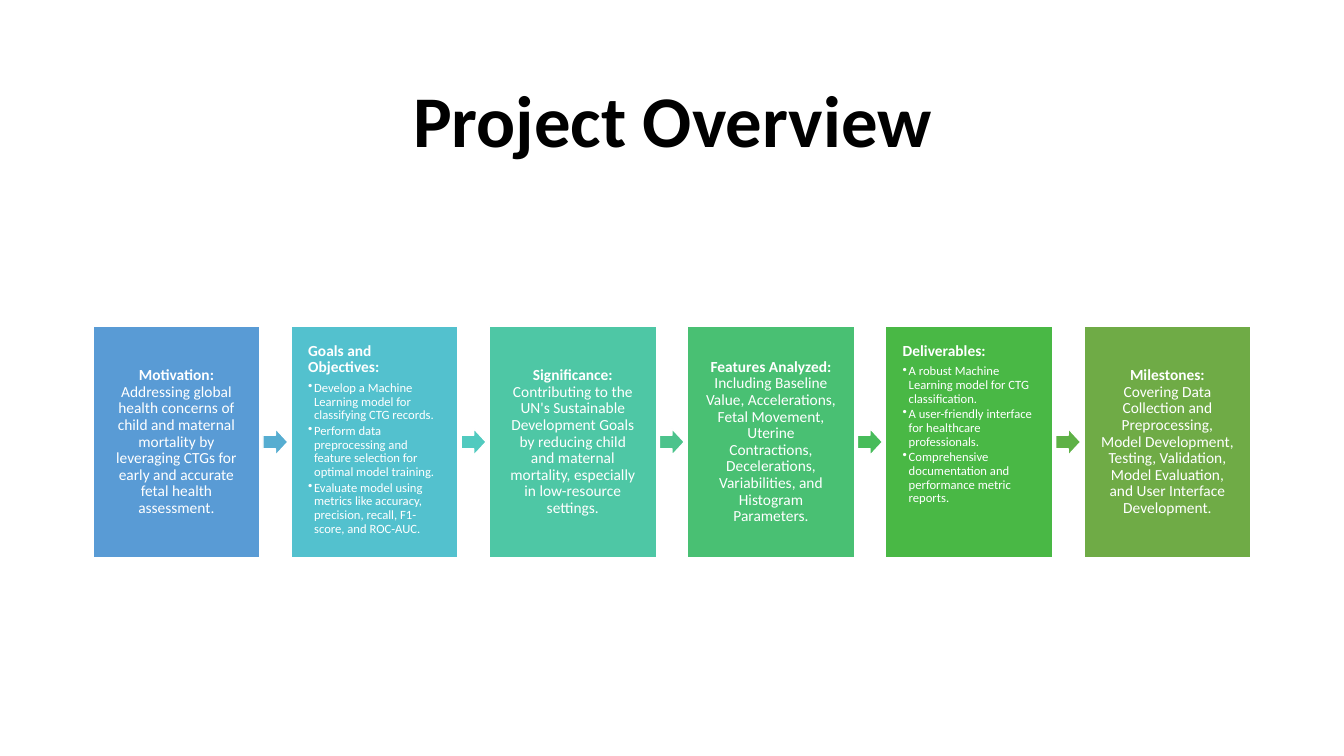
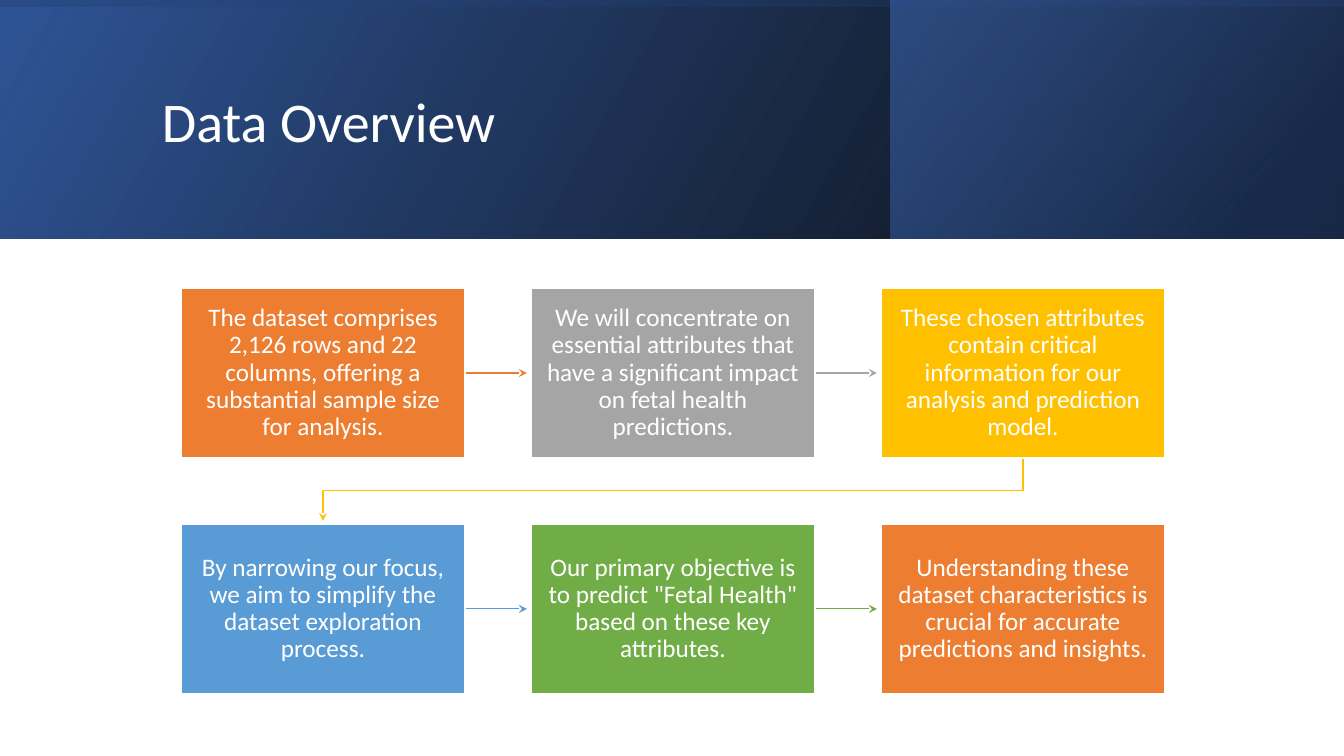
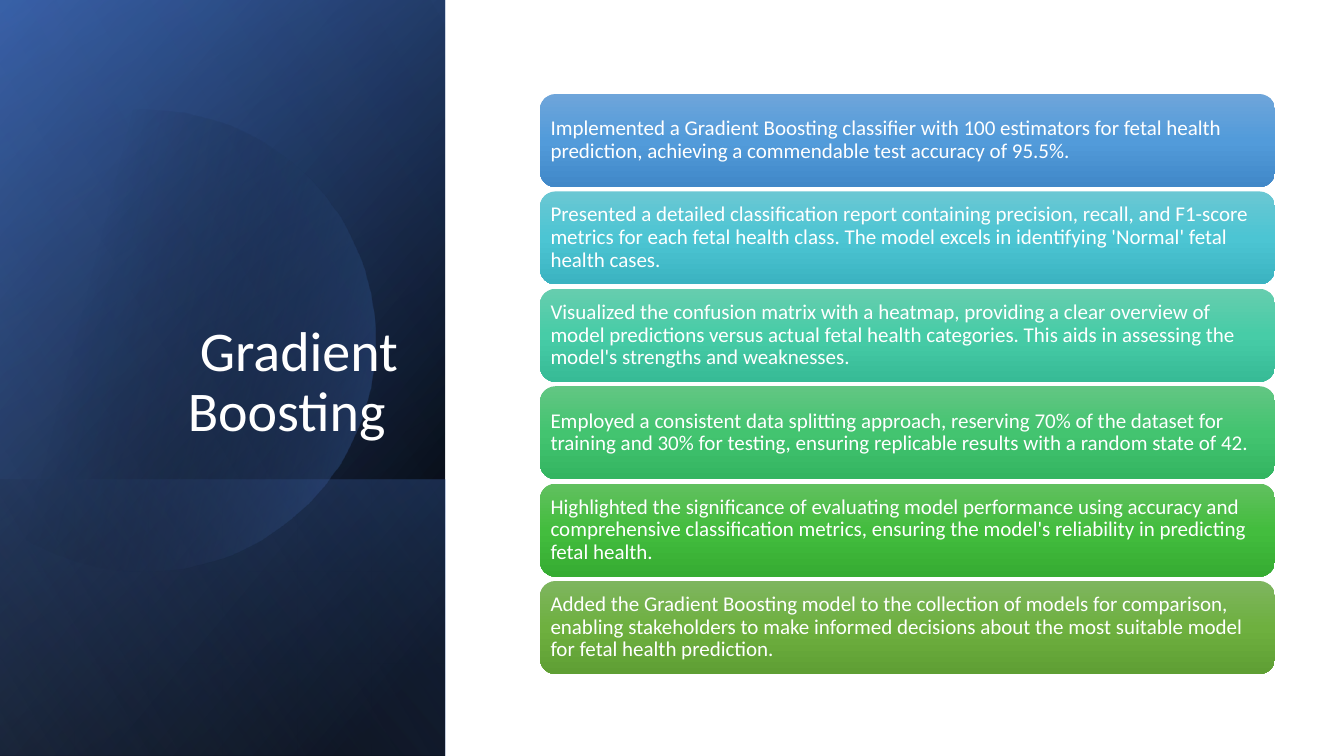
from math import acos, cos, sin
from pptx import Presentation
from pptx.dml.color import RGBColor
from pptx.enum.shapes import MSO_CONNECTOR, MSO_SHAPE
from pptx.enum.text import MSO_ANCHOR, PP_ALIGN
from pptx.oxml import parse_xml
from pptx.oxml.ns import nsdecls, qn
from pptx.util import Pt

UNIT = 914400 / 100.8
WIDE, HIGH = 1344, 756
HUES = dict(
    white="FFFFFF", black="000000", navy="2F5496", deep="1F3864", royal="4472C4",
    pale="8DA9DB", orange="ED7D31", gray="A5A5A5", gold="FFC000", blue="599BD5",
    green="70AD47",
)
STEPS = ["599BD5", "53C1CE", "4EC7A5", "49C073", "49B845", "6FAB46"]
HEADS = ["56ADD1", "51CABF", "4CC38C", "47BC5A", "5EB146"]
SHADES = [
    ("6EA5DA", "529BDA", "4188C8"), ("6AC7D3", "4CC5D3", "3BB3C1"),
    ("66CDAE", "47CCA7", "37BB96"), ("62C683", "43C470", "33B561"),
    ("61C05F", "43BD3E", "36AC32"), ("7EB55F", "6EB03F", "5F9F34"),
]
GOALS = [
    ("Motivation: ", "Addressing global health concerns of child and maternal mortality by "
     "leveraging CTGs for early and accurate fetal health assessment."),
    ("Goals and Objectives:", [
        "Develop a Machine Learning model for classifying CTG records.",
        "Perform data preprocessing and feature selection for optimal model training.",
        "Evaluate model using metrics like accuracy, precision, recall, F1-score, and ROC-AUC.",
    ]),
    ("Significance: ", "Contributing to the UN's Sustainable Development Goals by reducing "
     "child and maternal mortality, especially in low-resource settings."),
    ("Features Analyzed: ", "Including Baseline Value, Accelerations, Fetal Movement, Uterine "
     "Contractions, Decelerations, Variabilities, and Histogram Parameters."),
    ("Deliverables:", [
        "A robust Machine Learning model for CTG classification.",
        "A user-friendly interface for healthcare professionals.",
        "Comprehensive documentation and performance metric reports.",
    ]),
    ("Milestones: ", "Covering Data Collection and Preprocessing, Model Development, Testing, "
     "Validation, Model Evaluation, and User Interface Development."),
]
FACTS = [
    ("orange", "The dataset comprises 2,126 rows and 22 columns, offering a substantial "
     "sample size for analysis."),
    ("gray", "We will concentrate on essential attributes that have a significant impact on "
     "fetal health predictions."),
    ("gold", "These chosen attributes contain critical information for our analysis and "
     "prediction model."),
    ("blue", "By narrowing our focus, we aim to simplify the dataset exploration process."),
    ("green", "Our primary objective is to predict \"Fetal Health\" based on these key "
     "attributes."),
    ("orange", "Understanding these dataset characteristics is crucial for accurate "
     "predictions and insights."),
]
NOTES = [
    "Implemented a Gradient Boosting classifier with 100 estimators for fetal health "
    "prediction, achieving a commendable test accuracy of 95.5%.",
    "Presented a detailed classification report containing precision, recall, and F1-score "
    "metrics for each fetal health class. The model excels in identifying 'Normal' fetal "
    "health cases.",
    "Visualized the confusion matrix with a heatmap, providing a clear overview of model "
    "predictions versus actual fetal health categories. This aids in assessing the model's "
    "strengths and weaknesses.",
    "Employed a consistent data splitting approach, reserving 70% of the dataset for training "
    "and 30% for testing, ensuring replicable results with a random state of 42.",
    "Highlighted the significance of evaluating model performance using accuracy and "
    "comprehensive classification metrics, ensuring the model's reliability in predicting "
    "fetal health.",
    "Added the Gradient Boosting model to the collection of models for comparison, enabling "
    "stakeholders to make informed decisions about the most suitable model for fetal health "
    "prediction.",
]


def px(*nums):
    return [round(n * UNIT) for n in nums]


def style(part, **vals):
    for name, val in vals.items():
        setattr(part, name, val)


def tint(hue):
    return RGBColor.from_string(HUES.get(hue, hue))


def frame(shape, side, edge, anchor):
    text = shape.text_frame
    left, top = px(side, edge)
    style(text, word_wrap=True, margin_left=left, margin_right=left,
          margin_top=top, margin_bottom=top, vertical_anchor=anchor)
    return text


def write(para, runs, size, hue="white", align=PP_ALIGN.LEFT, before=0):
    style(para, alignment=align, line_spacing=0.9, space_before=Pt(before))
    for words, bold in runs:
        run = para.add_run()
        run.text = words
        style(run.font, name="Calibri", size=Pt(size), bold=bold)
        run.font.color.rgb = tint(hue)


def title(slide, box, words, size=40, hue="white", bold=False,
          align=PP_ALIGN.LEFT, anchor=MSO_ANCHOR.MIDDLE):
    text = frame(slide.shapes.add_textbox(*px(*box)), 10, 5, anchor)
    write(text.paragraphs[0], [(words, bold)], size, hue, align)


def block(slide, kind, box, hue=None):
    shape = slide.shapes.add_shape(kind, *px(*box))
    shape.shadow.inherit = False
    if hue:
        shape.fill.solid()
        shape.fill.fore_color.rgb = tint(hue)
        shape.line.color.rgb = tint("white")
        shape.line.width = Pt(1)
    else:
        shape.line.fill.background()
    return shape


def blend(shape, stops, angle):
    marks = "".join(
        f'<a:gs pos="{pos * 1000}"><a:srgbClr val="{HUES.get(hue, hue)}">'
        f'<a:alpha val="{alpha * 1000}"/></a:srgbClr></a:gs>'
        for pos, hue, alpha in stops)
    shape.fill.background()
    props = shape._element.spPr
    props.replace(props.find(qn("a:noFill")), parse_xml(
        f'<a:gradFill {nsdecls("a")} rotWithShape="1"><a:gsLst>{marks}</a:gsLst>'
        f'<a:lin ang="{angle * 60000}" scaled="0"/></a:gradFill>'))


def panel(slide, box, stops, angle, turn=0):
    left, top, wide, high = box
    if turn:
        left, top = left + (wide - high) / 2, top + (high - wide) / 2
        wide, high = high, wide
    shape = block(slide, MSO_SHAPE.RECTANGLE, (left, top, wide, high))
    shape.rotation = turn
    shape._element.spPr.find(qn("a:xfrm")).set("flipH", "1")
    blend(shape, stops, angle)


def trace(slide, points, close):
    draw = slide.shapes.build_freeform(*points[0], scale=UNIT)
    draw.add_line_segments(points[1:], close=close)
    shape = draw.convert_to_shape()
    shape.shadow.inherit = False
    return shape


def disc(slide, box):
    left, top, wide, high = box
    rad = high / 2
    span = acos(1 - wide / rad)
    mid = left + wide - rad
    arc = [span * (k / 45 - 1) for k in range(91)]
    shape = trace(slide, [(mid + rad * cos(a), top + rad + rad * sin(a)) for a in arc], True)
    shape.line.fill.background()
    blend(shape, [(0, "black", 0), (29, "black", 0), (100, "royal", 43)], 14)


def link(slide, points, hue):
    if len(points) == 2:
        shape = slide.shapes.add_connector(MSO_CONNECTOR.STRAIGHT, *px(*points[0], *points[1]))
        shape._element.spPr.append(parse_xml(f'<a:effectLst {nsdecls("a")}/>'))
    else:
        shape = trace(slide, points, False)
        shape.fill.background()
    shape.line.color.rgb = tint(hue)
    shape.line.width = Pt(0.75)
    shape.line._get_or_add_ln().append(
        parse_xml(f'<a:tailEnd {nsdecls("a")} type="stealth"/>'))


def bullet(para):
    props = para._p.get_or_add_pPr()
    gap = px(6)[0]
    for name, val in dict(marL=gap, indent=-gap, lvl=1).items():
        props.set(name, str(val))
    for tag in (f'<a:buClr {nsdecls("a")}><a:srgbClr val="{HUES["white"]}"/></a:buClr>',
                f'<a:buChar {nsdecls("a")} char="•"/>'):
        props.append(parse_xml(tag))


def card(slide, box, hue, head, body):
    shape = block(slide, MSO_SHAPE.RECTANGLE, box, hue)
    listed = isinstance(body, list)
    text = frame(shape, 17, 17, MSO_ANCHOR.TOP if listed else MSO_ANCHOR.MIDDLE)
    first = text.paragraphs[0]
    if not listed:
        write(first, [(head, True), (body, False)], 11, align=PP_ALIGN.CENTER)
        return
    write(first, [(head, True)], 11)
    for k, item in enumerate(body):
        para = text.add_paragraph()
        write(para, [(item, False)], 9, before=1.4 if k else 3.9)
        bullet(para)


def chain(slide, box):
    left, top, wide, high = box
    size = 167
    step = (wide - size) / (len(GOALS) - 1)
    for k, (head, body) in enumerate(GOALS):
        x = left + k * step
        card(slide, (x, top, size, high), STEPS[k], head, body)
        if k < len(HEADS):
            block(slide, MSO_SHAPE.RIGHT_ARROW,
                  (x + 170, top + (high - 27) / 2, 25, 27), HEADS[k])


def banner(slide, box):
    left, top, wide, high = box
    panel(slide, box, [(0, "black", 96), (100, "navy", 100)], 330)
    panel(slide, (left + 891, top, 452, high),
          [(0, "deep", 68), (19, "deep", 68), (100, "royal", 48)], 320)
    panel(slide, box, [(0, "navy", 16), (23, "navy", 16), (99, "black", 45),
                       (100, "black", 45)], 350, 270)


def flow(slide, box):
    left, top, wide, high = box
    size, tall = 284, 170
    over, down = (wide - size) / 2, high - tall
    for k, (hue, words) in enumerate(FACTS):
        row, col = divmod(k, 3)
        x, y = left + col * over, top + row * down
        mid = y + tall / 2
        if col < 2:
            link(slide, [(x + size, mid), (x + size + 62, mid)], hue)
        elif row == 0:
            end, start, low = x + size / 2, left + size / 2, y + tall
            link(slide, [(end, low), (end, low + 33), (start, low + 33),
                         (start, low + 63)], hue)
        shape = block(slide, MSO_SHAPE.RECTANGLE, (x, y, size, tall), hue)
        text = frame(shape, 14, 15, MSO_ANCHOR.MIDDLE)
        write(text.paragraphs[0], [(words, False)], 18, align=PP_ALIGN.CENTER)


def sidebar(slide, box):
    left, top, wide, high = box
    panel(slide, box, [(0, "black", 100), (8, "black", 100), (100, "navy", 100)], 50, 90)
    panel(slide, box, [(0, "black", 0), (99, "royal", 46), (100, "royal", 46)], 30, 90)
    panel(slide, (left, top + 480, wide, high - 480),
          [(0, "royal", 29), (2, "royal", 29), (100, "black", 30)], 130, 90)
    disc(slide, (left - 15, top + 110, 390, 462))
    panel(slide, box, [(0, "black", 0), (99, "pale", 11), (100, "pale", 11)], 120, 90)


def stack(slide, box):
    left, top, wide, high = box
    tall = 93
    step = (high - tall) / (len(NOTES) - 1)
    for k, (words, shade) in enumerate(zip(NOTES, SHADES)):
        shape = block(slide, MSO_SHAPE.ROUNDED_RECTANGLE, (left, top + k * step, wide, tall))
        blend(shape, [(50 * n, hue, 100) for n, hue in enumerate(shade)], 90)
        text = frame(shape, 6, 6, MSO_ANCHOR.MIDDLE)
        write(text.paragraphs[0], [(words, False)], 15)


deck = Presentation()
wide, high = px(WIDE, HIGH)
style(deck, slide_width=wide, slide_height=high)
goals, facts, notes = [deck.slides.add_slide(deck.slide_layouts[6]) for _ in range(3)]

title(goals, (93, 61, 1159, 125), "Project Overview", 52, "black", True, PP_ALIGN.CENTER)
chain(goals, (93, 326, 1158, 232))

banner(facts, (0, 0, WIDE, 239))
title(facts, (152, 38, 1072, 173), "Data Overview")
flow(facts, (181, 288, 984, 406))

sidebar(notes, (0, 0, 445, HIGH))
title(notes, (64, 185, 344, 264), "Gradient Boosting ",
      align=PP_ALIGN.RIGHT, anchor=MSO_ANCHOR.BOTTOM)
stack(notes, (540, 94, 735, 580))

deck.save("out.pptx")
